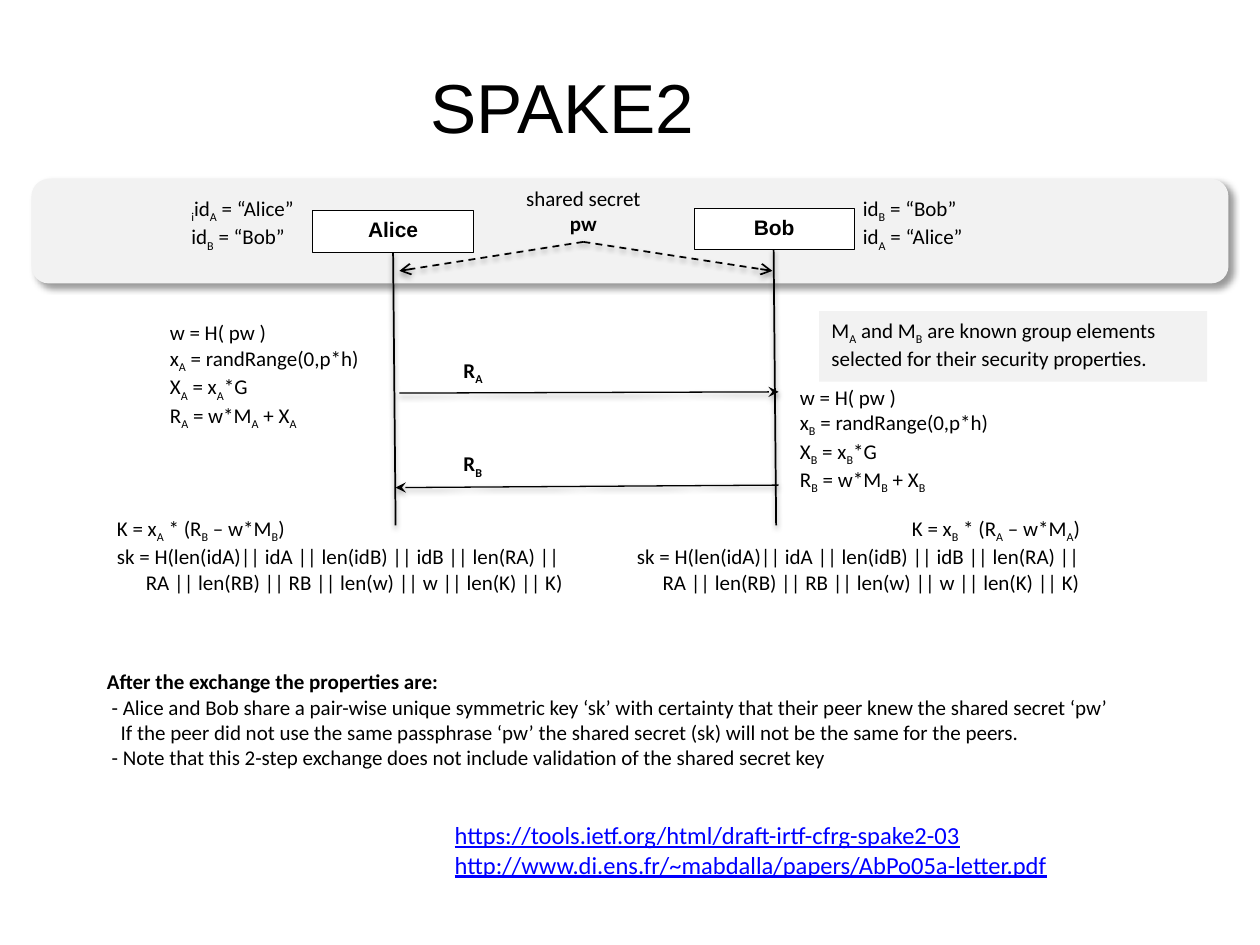
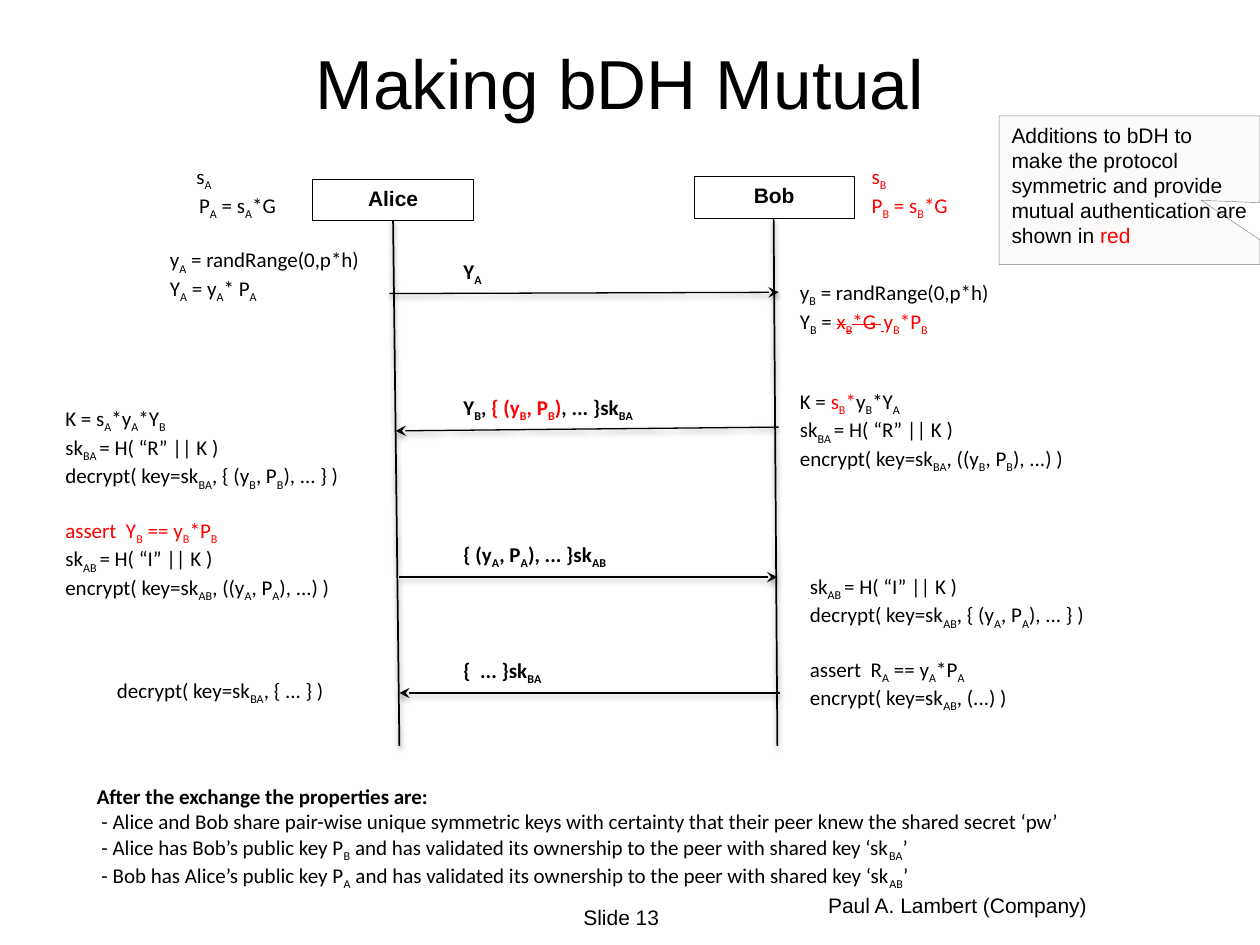
from lxml import etree
from pptx import Presentation
from pptx import util as u
from pptx.dml.color import RGBColor
from pptx.enum import dml, shapes, text
from pptx.oxml.ns import qn

COLOURS = {"ink": "000000", "red": "FF0000", "link": "0000FF", "paper": "FFFFFF",
           "panel": "F2F2F2", "note": "FCFBF9", "note_edge": "7F7F7F"}
ALIGN = {"l": text.PP_ALIGN.LEFT, "c": text.PP_ALIGN.CENTER, "r": text.PP_ALIGN.RIGHT}
BODY = {"name": "Calibri", "size": u.Pt(12)}
LABEL = {"name": "Arial", "size": u.Pt(12)}
HEADING = {"name": "Arial", "size": u.Pt(39.6)}
LINK = {"name": "Calibri", "size": u.Pt(14), "underline": True}
LINE_GAP = 14.65
MARKS = {"[": ("sub", True), "]": ("sub", False), "<": ("red", True), ">": ("red", False)}
TOGGLES = {"^": "strike", "`": "bold"}
SHAPES = shapes.MSO_SHAPE
PANEL_SHADOW = (40, 4, 3, 45)
LINE_SHADOW = (38, 3.1, 1.6, 90)


def rgb(colour):
    return RGBColor.from_string(COLOURS[colour])


def inches(*values):
    return [u.Inches(value) for value in values]


def split_marks(line, state):
    piece = ""
    for char in line:
        if char in MARKS or char in TOGGLES:
            if piece:
                yield piece, dict(state)
            piece = ""
            key, value = MARKS.get(char) or (TOGGLES[char], not state[TOGGLES[char]])
            state[key] = value
        else:
            piece += char
    if piece:
        yield piece, dict(state)


def add_run(paragraph, words, marks, font, colour):
    run = paragraph.add_run()
    run.text = words
    for key, value in {**font, "bold": marks["bold"]}.items():
        setattr(run.font, key, value)
    run.font.color.rgb = rgb("red" if marks["red"] else colour)
    extras = {"sub": ("baseline", "-25000"), "strike": ("strike", "sngStrike")}
    for key, (name, value) in extras.items():
        if marks[key]:
            run.font._element.set(name, value)


def write(holder, content, font=BODY, align="l", colour="ink", middle=False, indents=None, right=0.1):
    frame = holder.text_frame
    anchor = text.MSO_ANCHOR.MIDDLE if middle else text.MSO_ANCHOR.TOP
    settings = {"word_wrap": True, "vertical_anchor": anchor, "margin_right": u.Inches(right)}
    for key, value in settings.items():
        setattr(frame, key, value)
    state = {"sub": False, "red": False, "strike": False, "bold": False}
    paragraph, gap = None, 0
    for number, line in enumerate(content.split("\n")):
        if not line:
            gap += 1
            continue
        paragraph = frame.add_paragraph() if paragraph else frame.paragraphs[0]
        paragraph.alignment = ALIGN[align]
        paragraph.space_before = u.Pt(gap * LINE_GAP)
        gap = 0
        if indents and number in indents:
            paragraph._p.get_or_add_pPr().set("marL", str(u.Inches(indents[number])))
        for words, marks in split_marks(line, state):
            add_run(paragraph, words, marks, font, colour)


def add_text(slide, at, content, **style):
    write(slide.shapes.add_textbox(*inches(*at)), content, **style)


def add_shadow(effects, strength, blur, distance, angle):
    outer = etree.SubElement(effects, qn("a:outerShdw"), blurRad=str(u.Pt(blur)),
                             dist=str(u.Pt(distance)), dir=str(angle * 60000), rotWithShape="0")
    shade = etree.SubElement(outer, qn("a:srgbClr"), val=COLOURS["ink"])
    etree.SubElement(shade, qn("a:alpha"), val=str(strength * 1000))


def add_box(slide, at, fill, kind=SHAPES.RECTANGLE, edge=None, adjust=(), shadow=None):
    box = slide.shapes.add_shape(kind, *inches(*at))
    box.shadow.inherit = False
    box.fill.solid()
    box.fill.fore_color.rgb = rgb(fill)
    if edge:
        box.line.color.rgb = rgb(edge)
        box.line.width = u.Pt(0.25)
    else:
        box.line.fill.background()
    for index, value in enumerate(adjust):
        box.adjustments[index] = value
    if shadow:
        add_shadow(box._element.spPr.find(qn("a:effectLst")), *shadow)
    return box


def add_line(slide, start, end, width=1, head=None, dashed=False):
    line = slide.shapes.add_connector(shapes.MSO_CONNECTOR.STRAIGHT, *inches(*start, *end))
    line.line.color.rgb = rgb("ink")
    line.line.width = u.Pt(width)
    if dashed:
        line.line.dash_style = dml.MSO_LINE.DASH
    properties = line._element.spPr
    if head:
        etree.SubElement(properties.find(qn("a:ln")), qn("a:tailEnd"), type=head)
    add_shadow(etree.SubElement(properties, qn("a:effectLst")), *LINE_SHADOW)


def add_title(slide, at, words, right=0.1):
    add_text(slide, at, words, font=HEADING, align="c", middle=True, right=right)


def add_parties(slide, top, alice_foot, bob_foot):
    parties = [("Alice", 2.48, 1.28, top + 0.02, 3.12, alice_foot),
               ("Bob", 5.51, 1.27, top, 6.14, bob_foot)]
    for name, left, width, box_top, line_x, foot in parties:
        add_line(slide, (line_x, box_top + 0.33), foot)
        box = add_box(slide, (left, box_top, width, 0.33), "paper", edge="ink")
        write(box, f"`{name}`", font=LABEL, align="c")


def add_messages(slide, messages):
    for label, label_top, start, end in messages:
        add_text(slide, (3.58, label_top, 2.15, 0.3), f"`{label}`")
        add_line(slide, start, end, width=0.75, head="stealth")


def add_properties(slide, at, content, indents=None):
    write(add_box(slide, at, "paper"), "`After the exchange the properties are:`\n" + content,
          indents=indents)


def commitment(party):
    return (f"w = H( pw )\nx[{party}] = randRange(0,p*h)\n"
            f"X[{party}] = x[{party}]*G\nR[{party}] = w*M[{party}] + X[{party}]")


def session_key(own, peer):
    return (f"K = x[{own}] * (R[{peer}] – w*M[{peer}])\n"
            "sk = H(len(idA)|| idA || len(idB) || idB || len(RA) ||\n"
            "RA || len(RB) || RB || len(w) || w || len(K) || K)")


def build_spake2(slide):
    add_box(slide, (0.25, 1.42, 9.5, 0.83), "panel", SHAPES.ROUNDED_RECTANGLE, shadow=PANEL_SHADOW)
    add_title(slide, (0.75, 0.52, 8.5, 0.64), "SPAKE2", right=1.17)
    add_properties(
        slide, (0.75, 5.26, 8.92, 0.91),
        " - Alice and Bob share a pair-wise unique symmetric key ‘sk’ with certainty that "
        "their peer knew the shared secret ‘pw’\n"
        "If the peer did not use the same passphrase ‘pw’ the shared secret (sk) will not be "
        "the same for the peers.\n"
        " - Note that this 2-step exchange does not include validation of the shared secret key",
        indents={2: 0.11})
    add_parties(slide, 1.65, (3.14, 4.17), (6.16, 4.17))
    add_messages(slide, [("R[A]", 2.79, (3.17, 3.12), (6.18, 3.11)),
                         ("R[B]", 3.53, (6.18, 3.85), (3.14, 3.87))])
    for end_x in (3.17, 6.13):
        add_line(slide, (4.63, 1.92), (end_x, 2.15), head="arrow", dashed=True)
    add_text(slide, (4.02, 1.42, 1.22, 0.51), "shared secret\n`pw`", align="c")
    add_text(slide, (1.42, 1.5, 1.33, 0.51), "[i]id[A] = “Alice”\nid[B] = “Bob”")
    add_text(slide, (6.75, 1.5, 1.67, 0.71), "id[B] = “Bob”\nid[A] = “Alice”")
    add_text(slide, (1.25, 2.49, 2.16, 0.91), commitment("A"))
    add_text(slide, (6.25, 3, 2.75, 0.91), commitment("B"))
    add_text(slide, (0.83, 4.04, 4, 0.71), session_key("A", "B"), indents={2: 0.23})
    add_text(slide, (4.75, 4.04, 3.92, 0.71), session_key("B", "A"), align="r")
    write(add_box(slide, (6.5, 2.47, 3.08, 0.56), "panel"),
          "M[A] and M[B] are known group elements selected for their security properties.")
    add_text(slide, (3.51, 6.46, 5.25, 0.57),
             "https://tools.ietf.org/html/draft-irtf-cfrg-spake2-03\n"
             "http://www.di.ens.fr/~mabdalla/papers/AbPo05a-letter.pdf", font=LINK, colour="link")


def build_mutual(slide):
    add_title(slide, (0.67, 0.33, 8.5, 0.64), "Making bDH Mutual")
    add_properties(
        slide, (0.67, 6.17, 9.33, 1.11),
        " - Alice and Bob share pair-wise unique symmetric keys with certainty that their peer "
        "knew the shared secret ‘pw’\n" + "\n".join(
            f" - {owner} has {peer}’s public key P[{key}] and has validated its ownership "
            f"to the peer with shared key ‘sk[{shared}]’"
            for owner, peer, key, shared in [("Alice", "Bob", "B", "BA"),
                                             ("Bob", "Alice", "A", "AB")]))
    add_parties(slide, 1.4, (3.17, 5.92), (6.17, 5.92))
    add_messages(slide, [
        ("Y[A]", 2, (3.09, 2.33), (6.18, 2.32)),
        ("Y[B], <{ (y[B], P[B])>, ... }sk[BA]", 3.08, (6.18, 3.39), (3.14, 3.42)),
        ("{ (y[A], P[A]), ... }sk[AB]", 4.25, (3.17, 4.58), (6.17, 4.58)),
        ("{  ... }sk[BA]", 5.17, (6.19, 5.5), (3.17, 5.5))])
    steps = [
        ((1.46, 1.25, 0.97, 0.51), "s[A]\n[ ]P[A] = s[A]*G"),
        ((6.82, 1.25, 0.94, 0.51), "<s[B]\nP[B] = s[B]*G>"),
        ((1.25, 1.91, 2.17, 0.51), "y[A] = randRange(0,p*h)\nY[A] = y[A]* P[A]"),
        ((6.25, 2.17, 2.75, 1.45),
         "y[B] = randRange(0,p*h)\nY[B] = <^x[B]*G [ ]^y[B]*P[B]>\n\n\n"
         "K = <s[B]*>y[B]*Y[A]\nsk[BA ]= H( “R” || K )\nencrypt( key=sk[BA], ((y[B], P[B]), ...) )"),
        ((0.42, 3.17, 2.75, 1.51),
         "K = s[A]*y[A]*Y[B]\nsk[BA ]= H( “R” || K )\ndecrypt( key=sk[BA], { (y[B], P[B]), ... } )\n\n"
         "<assert  Y[B] == y[B]*P[B]>\nsk[AB ]= H( “I” || K )\n"
         "encrypt( key=sk[AB], ((y[A], P[A]), ...) )"),
        ((6.33, 4.5, 2.75, 1.11),
         "sk[AB ]= H( “I” || K )\ndecrypt( key=sk[AB], { (y[A], P[A]), ... } )\n\n"
         "assert  R[A] == y[A]*P[A]\nencrypt( key=sk[AB], (...) )"),
        ((0.83, 5.33, 2.75, 0.3), "decrypt( key=sk[BA], { ... } )")]
    for at, content in steps:
        add_text(slide, at, content)
    add_text(slide, (4.45, 7.08, 0.88, 0.4), "Slide 13", font=LABEL, align="r", middle=True)
    add_text(slide, (5.86, 7.08, 3.48, 0.2), "Paul A. Lambert (Company)",
             font=LABEL, align="c", middle=True)
    callout = add_box(slide, (7.93, 0.92, 2.07, 1.18), "note", SHAPES.RECTANGULAR_CALLOUT,
                      edge="note_edge", adjust=(0.275, 0.068))
    write(callout, "Additions to bDH to make the protocol symmetric and provide mutual "
                   "authentication are shown in <red>", font=LABEL)


def main():
    deck = Presentation()
    deck.slide_width, deck.slide_height = inches(10, 7.5)
    for build in (build_spake2, build_mutual):
        build(deck.slides.add_slide(deck.slide_layouts[6]))
    deck.save("out.pptx")


main()
